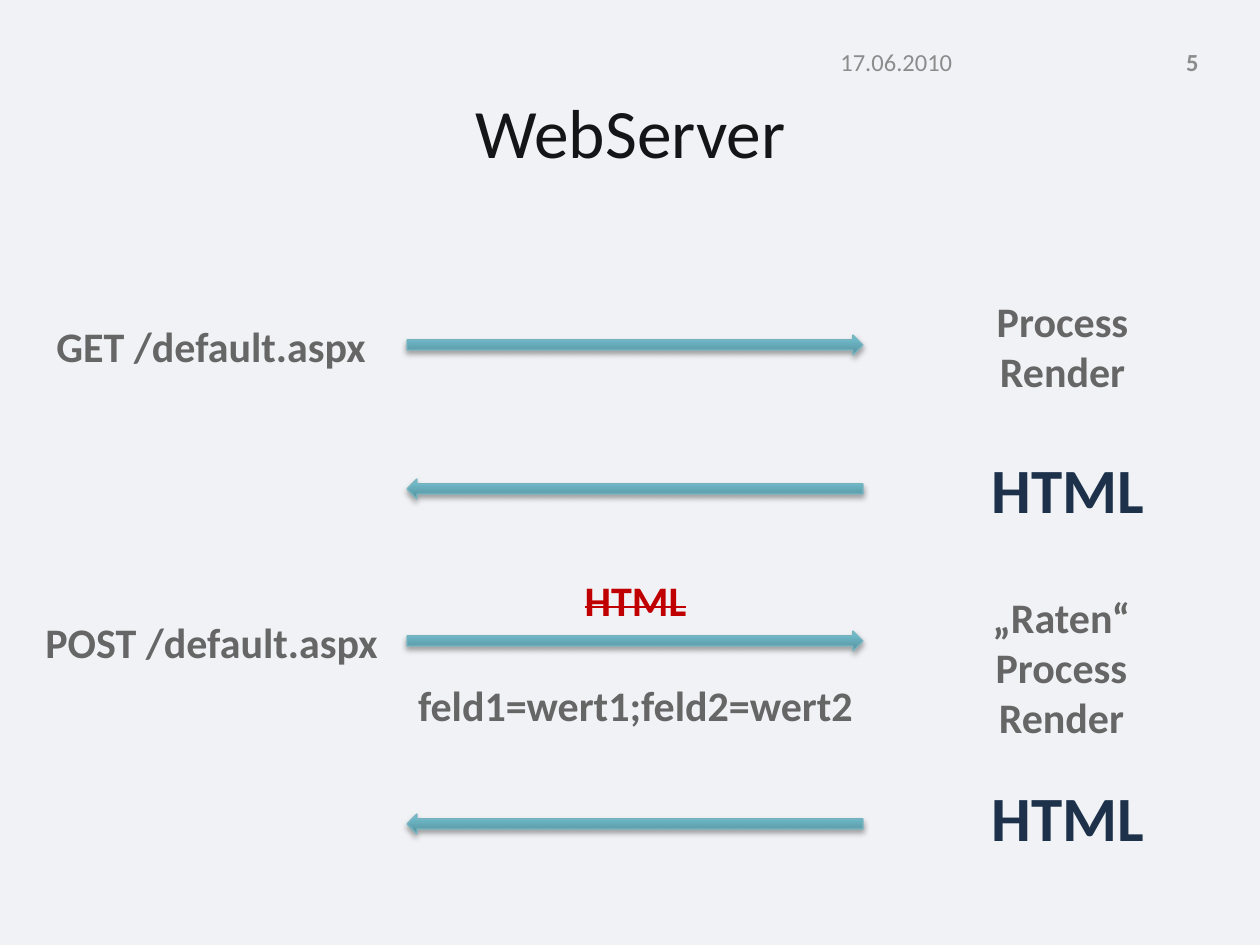
from lxml.etree import SubElement
from copy import deepcopy
from pptx import Presentation
from pptx.dml.color import RGBColor
from pptx.enum.shapes import MSO_SHAPE
from pptx.enum.text import MSO_ANCHOR, MSO_AUTO_SIZE, PP_ALIGN
from pptx.oxml.ns import qn
from pptx.util import Emu, Pt

PX_PER_INCH = 126
BACKGROUND = "F1F2F5"
ARROW_STOPS = [(0, "558F9B"), (0.8, "6FBAC9"), (1, "6DBCCC")]
ARROW_LINE = "78B6C2"

# Font attributes and colour of each text role
TITLE = {"size": Pt(39.6), "name": "Calibri"}, "141517"
DATE = {"size": Pt(14), "name": "Calibri"}, "8C8C8C"
PAGE = {"size": Pt(14), "name": "Calibri", "bold": True}, "8C8C8C"
STEP = {"size": Pt(24), "name": "Calibri", "bold": True}, "666666"
RESULT = {"size": Pt(36), "name": "Calibri", "bold": True}, "1D324A"
DROPPED = {"size": Pt(24), "name": "Calibri", "bold": True}, "C00000"

HEADER_FRAME = {"word_wrap": True, "vertical_anchor": MSO_ANCHOR.MIDDLE,
                "auto_size": MSO_AUTO_SIZE.NONE}
LABEL_FRAME = {"word_wrap": False, "vertical_anchor": MSO_ANCHOR.TOP,
               "auto_size": MSO_AUTO_SIZE.SHAPE_TO_FIT_TEXT}


def px(length):
    return Emu(round(length * 914400 / PX_PER_INCH))


def rgb(value):
    return RGBColor.from_string(value)


def set_attributes(target, values):
    for name, value in values.items():
        setattr(target, name, value)


def write(frame, text, role, align, frame_format):
    set_attributes(frame, frame_format)
    frame.text = text
    font_format, color = role
    for paragraph in frame.paragraphs:
        paragraph.alignment = align
        for run in paragraph.runs:
            set_attributes(run.font, font_format)
            run.font.color.rgb = rgb(color)


def add_title(slide, text, box):
    title = slide.shapes.title
    set_attributes(title, dict(zip(("left", "top", "width", "height"), map(px, box))))
    write(title.text_frame, text, TITLE, PP_ALIGN.CENTER, HEADER_FRAME)


def add_label(slide, text, box, role=STEP, align=PP_ALIGN.CENTER,
              frame_format=LABEL_FRAME):
    label = slide.shapes.add_textbox(*map(px, box))
    write(label.text_frame, text, role, align, frame_format)
    return label


def strike_through(label):
    for paragraph in label.text_frame.paragraphs:
        for run in paragraph.runs:
            run._r.get_or_add_rPr().set("strike", "sngStrike")


def add_arrow(slide, kind, top):
    arrow = slide.shapes.add_shape(kind, px(407), px(top), px(456), px(20))

    # Three-stop gradient, dark at the bottom
    arrow.fill.gradient()
    arrow.fill.gradient_angle = 90
    stop_list = arrow._element.spPr.find(qn("a:gradFill")).find(qn("a:gsLst"))
    stop_list.insert(1, deepcopy(stop_list[0]))
    for stop, (position, color) in zip(arrow.fill.gradient_stops, ARROW_STOPS):
        stop.position = position
        stop.color.rgb = rgb(color)
    arrow.line.color.rgb = rgb(ARROW_LINE)
    arrow.line.width = Pt(0.75)

    # Soft shadow below
    arrow.shadow.inherit = False
    effects = arrow._element.spPr.find(qn("a:effectLst"))
    shadow = SubElement(effects, qn("a:outerShdw"), blurRad="40000", dist="23000",
                        dir="5400000", rotWithShape="0")
    black = SubElement(shadow, qn("a:srgbClr"), val="000000")
    SubElement(black, qn("a:alpha"), val="35000")


def main():
    deck = Presentation()
    deck.slide_width, deck.slide_height = px(1260), px(945)
    slide = deck.slides.add_slide(deck.slide_layouts[5])
    slide.background.fill.solid()
    slide.background.fill.fore_color.rgb = rgb(BACKGROUND)

    # Header
    add_title(slide, "WebServer", (35, 86, 1191, 89))
    add_label(slide, "17.06.2010", (828, 37, 234, 50), DATE, PP_ALIGN.LEFT, HEADER_FRAME)
    add_label(slide, "5", (1086, 37, 125, 50), PAGE, PP_ALIGN.RIGHT, HEADER_FRAME)

    # Requests and responses
    for request_top, response_top in ((335, 479), (631, 814)):
        add_arrow(slide, MSO_SHAPE.RIGHT_ARROW, request_top)
        add_arrow(slide, MSO_SHAPE.LEFT_ARROW, response_top)

    # Client side
    add_label(slide, "GET /default.aspx", (44, 314, 338, 63), align=PP_ALIGN.LEFT)
    add_label(slide, "POST /default.aspx", (33, 610, 362, 63), align=PP_ALIGN.LEFT)

    # Server side
    add_label(slide, "Process\nRender", (983, 289, 159, 115))
    add_label(slide, "„Raten“\nProcess\nRender", (979, 585, 165, 165))
    for result_top in (444, 772):
        add_label(slide, "HTML", (978, result_top, 180, 89), RESULT)

    # What the POST carries
    strike_through(add_label(slide, "HTML", (571, 568, 129, 63), DROPPED))
    add_label(slide, "feld1=wert1;feld2=wert2", (403, 673, 465, 63))

    deck.save("out.pptx")


if __name__ == "__main__":
    main()
